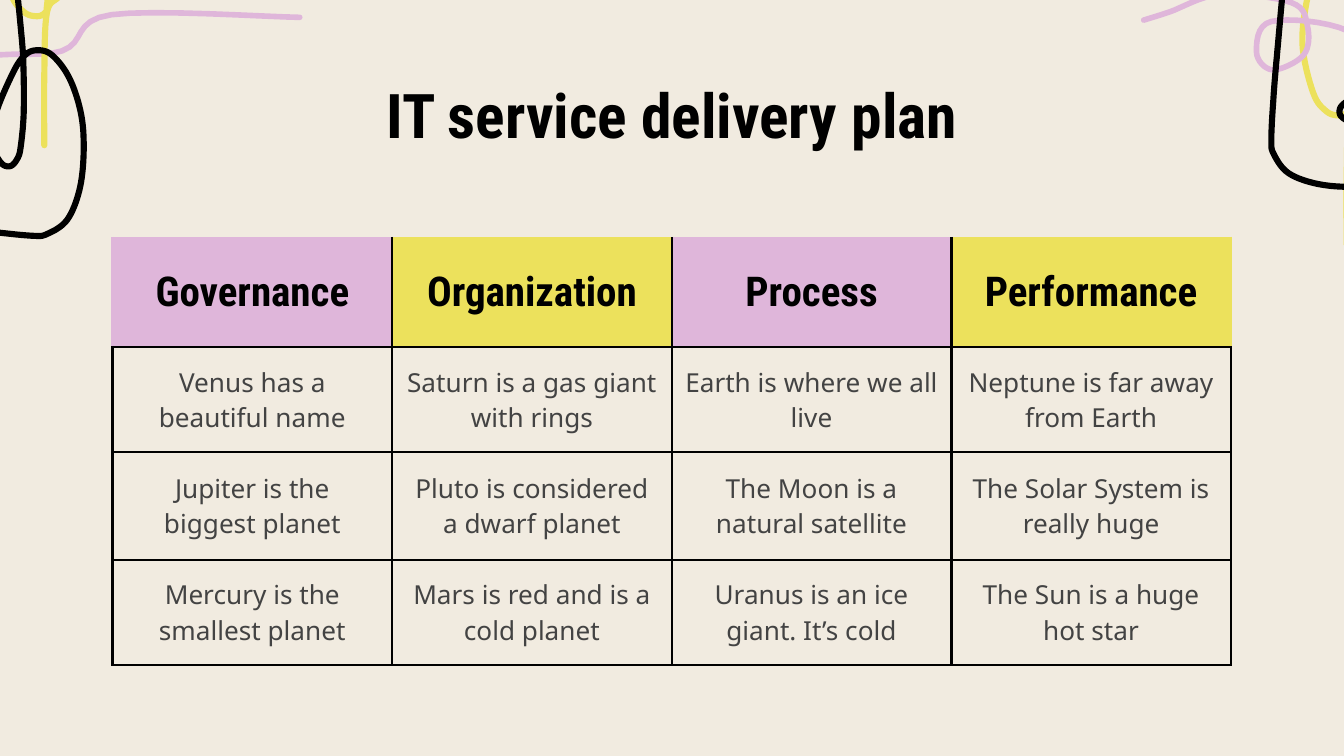
import math

import lxml.etree
import pptx
import pptx.dml.color
import pptx.enum.text
import pptx.oxml.ns
import pptx.util

Pt = pptx.util.Pt
BLACK, PINK, YELLOW, CREAM, GREY = "000000", "DFB6DA", "ECE15C", "F1EBE0", "434343"
HEADING_FONT, BODY_FONT = "Roboto Condensed", "Noto Sans"
GRID = 0.72

LOOP_TAIL = [(172, 34), (65, 4), (43, 0), (27, 3), (14, 15), (5, 36), (0, 75), (8, 112),
             (18, 126), (28, 129), (34, 126), (35, 121), (38, 93), (44, 65), (50, 54),
             (56, 51), (62, 58), (63, 66), (58, 90), (45, 113), (35, 126), (33, 172),
             (33, 225)]
BIG_LOOP = [(12, 1), (6, 68), (3, 103), (1, 139), (3, 151), (14, 165), (36, 173),
            (63, 175), (92, 172), (119, 162), (136, 148), (139, 136), (134, 127),
            (120, 119), (89, 108), (66, 108), (54, 114), (52, 121), (58, 126),
            (67, 128), (92, 129), (129, 127), (154, 124), (193, 118), (238, 109)]
WAVE = [(0, 123), (40, 39), (113, 27), (150, 0), (290, 2)]
CURL = [(193, 65), (152, 27), (95, 20), (84, 43), (96, 56), (119, 45), (122, 24),
        (110, 6), (57, 0), (19, 13), (0, 19)]

DOODLES = [
    ((697.7, -31), LOOP_TAIL, YELLOW, 3.3, 0),
    ((-48.2, 7.9), WAVE, PINK, 3, 0),
    ((612.7, -2.9), CURL, PINK, 3, 0),
    ((680.4, -25.9), BIG_LOOP, BLACK, 3.3, 0),
    ((0, -84.2), LOOP_TAIL, YELLOW, 3.3, 0),
    ((-103.7, -6.5), BIG_LOOP, BLACK, 3.3, -87.3),
]

HEADERS = [("Governance", PINK), ("Organization", YELLOW),
           ("Process", PINK), ("Performance", YELLOW)]
BODY = [
    ["Venus has a beautiful name", "Saturn is a gas giant with rings",
     "Earth is where we all live", "Neptune is far away from Earth"],
    ["Jupiter is the biggest planet", "Pluto is considered a dwarf planet",
     "The Moon is a natural satellite", "The Solar System is really huge"],
    ["Mercury is the smallest planet", "Mars is red and is a cold planet",
     "Uranus is an ice giant. It’s cold", "The Sun is a huge hot star"],
]


def rgb(value):
    """Turn a hex string into a colour."""
    return pptx.dml.color.RGBColor.from_string(value)


def write(tf, text, font, size, color, bold):
    """Write one centred run into a text frame."""
    p = tf.paragraphs[0]
    p.alignment = pptx.enum.text.PP_ALIGN.CENTER
    r = p.add_run()
    r.text = text
    r.font.name, r.font.size, r.font.bold = font, Pt(size), bold
    r.font.color.rgb = rgb(color)


def smooth_path(knots, steps=8):
    """Return points on a Catmull-Rom curve through the knots."""
    padded = [knots[0], *knots, knots[-1]]
    points = [knots[0]]
    for a, b, c, d in zip(padded, padded[1:], padded[2:], padded[3:]):
        for step in range(1, steps + 1):
            t = step / steps
            points.append(tuple(
                q + t * (r - p + t * (2 * p - 5 * q + 4 * r - s
                                      + t * (3 * q - p - 3 * r + s))) / 2
                for p, q, r, s in zip(a, b, c, d)))
    return points


def turn_path(points, degrees, center=(108, 74.5)):
    """Turn points clockwise about a centre."""
    cos, sin = math.cos(math.radians(degrees)), math.sin(math.radians(degrees))
    cx, cy = center
    return [(cx + cos * (x - cx) - sin * (y - cy), cy + sin * (x - cx) + cos * (y - cy))
            for x, y in points]


def add_doodle(slide, origin, knots, color, width, degrees):
    """Draw a curved pen stroke whose grid starts at the origin."""
    left, top = origin
    points = [(Pt(left + x * GRID), Pt(top + y * GRID))
              for x, y in turn_path(smooth_path(knots), degrees)]
    builder = slide.shapes.build_freeform(*points[0])
    builder.add_line_segments(points[1:], close=False)
    sp = builder.convert_to_shape()
    sp.shadow.inherit = False
    sp.fill.background()
    sp.line.color.rgb = rgb(color)
    sp.line.width = Pt(width)
    ln = sp.line._ln
    ln.set("cap", "rnd")
    lxml.etree.SubElement(ln, pptx.oxml.ns.qn("a:round"))


def add_title(slide, box, text):
    """Place and format the title placeholder."""
    sp = slide.shapes.title
    sp.left, sp.top, sp.width, sp.height = map(Pt, box)
    tf = sp.text_frame
    tf.word_wrap = True
    tf.auto_size = pptx.enum.text.MSO_AUTO_SIZE.NONE
    tf.vertical_anchor = pptx.enum.text.MSO_ANCHOR.MIDDLE
    tf.margin_left = tf.margin_right = tf.margin_top = tf.margin_bottom = Pt(7.2)
    write(tf, text, HEADING_FONT, 33, BLACK, True)


def set_borders(cell, colors):
    """Give a cell left, right, top and bottom borders."""
    tc_pr = cell._tc.get_or_add_tcPr()
    for side, color in zip("LRTB", colors):
        ln = lxml.etree.SubElement(tc_pr, pptx.oxml.ns.qn(f"a:ln{side}"), w=str(Pt(1.5)))
        fill = lxml.etree.SubElement(ln, pptx.oxml.ns.qn("a:solidFill"))
        lxml.etree.SubElement(fill, pptx.oxml.ns.qn("a:srgbClr"), val=color)


def format_cell(cell, borders):
    """Set the borders, margins and anchor of a cell."""
    set_borders(cell, borders)
    cell.margin_left = cell.margin_right = cell.margin_top = cell.margin_bottom = Pt(7.2)
    cell.vertical_anchor = pptx.enum.text.MSO_ANCHOR.MIDDLE


def add_plan_table(slide, box, row_heights):
    """Build the plan table with coloured headers."""
    table = slide.shapes.add_table(len(BODY) + 1, len(HEADERS), *map(Pt, box)).table
    table.first_row = table.horz_banding = False
    for column in table.columns:
        column.width = Pt(box[2] / len(HEADERS))
    for row, height in zip(table.rows, row_heights):
        row.height = Pt(height)
    last = len(HEADERS) - 1
    for i, (text, color) in enumerate(HEADERS):
        cell = table.cell(0, i)
        format_cell(cell, [color if i == 0 else BLACK, color if i == last else BLACK,
                           color, BLACK])
        cell.fill.solid()
        cell.fill.fore_color.rgb = rgb(color)
        write(cell.text_frame, text, HEADING_FONT, 22, BLACK, True)
    for i, texts in enumerate(BODY, 1):
        for j, text in enumerate(texts):
            cell = table.cell(i, j)
            format_cell(cell, [BLACK] * 4)
            cell.fill.background()
            write(cell.text_frame, text, BODY_FONT, 14, GREY, False)


def main():
    """Build and save the slide."""
    prs = pptx.Presentation()
    prs.slide_width, prs.slide_height = Pt(720), Pt(405)
    slide = prs.slides.add_slide(prs.slide_layouts[5])
    slide.background.fill.solid()
    slide.background.fill.fore_color.rgb = rgb(CREAM)
    for doodle in DOODLES:
        add_doodle(slide, *doodle)
    add_title(slide, (56.2, 42.5, 607.6, 37.4), "IT service delivery plan")
    row_heights = [58.4, 56.4, 57.6, 56.4]
    add_plan_table(slide, (60.3, 127.5, 599.2, sum(row_heights)), row_heights)
    prs.save("out.pptx")


if __name__ == "__main__":
    main()
